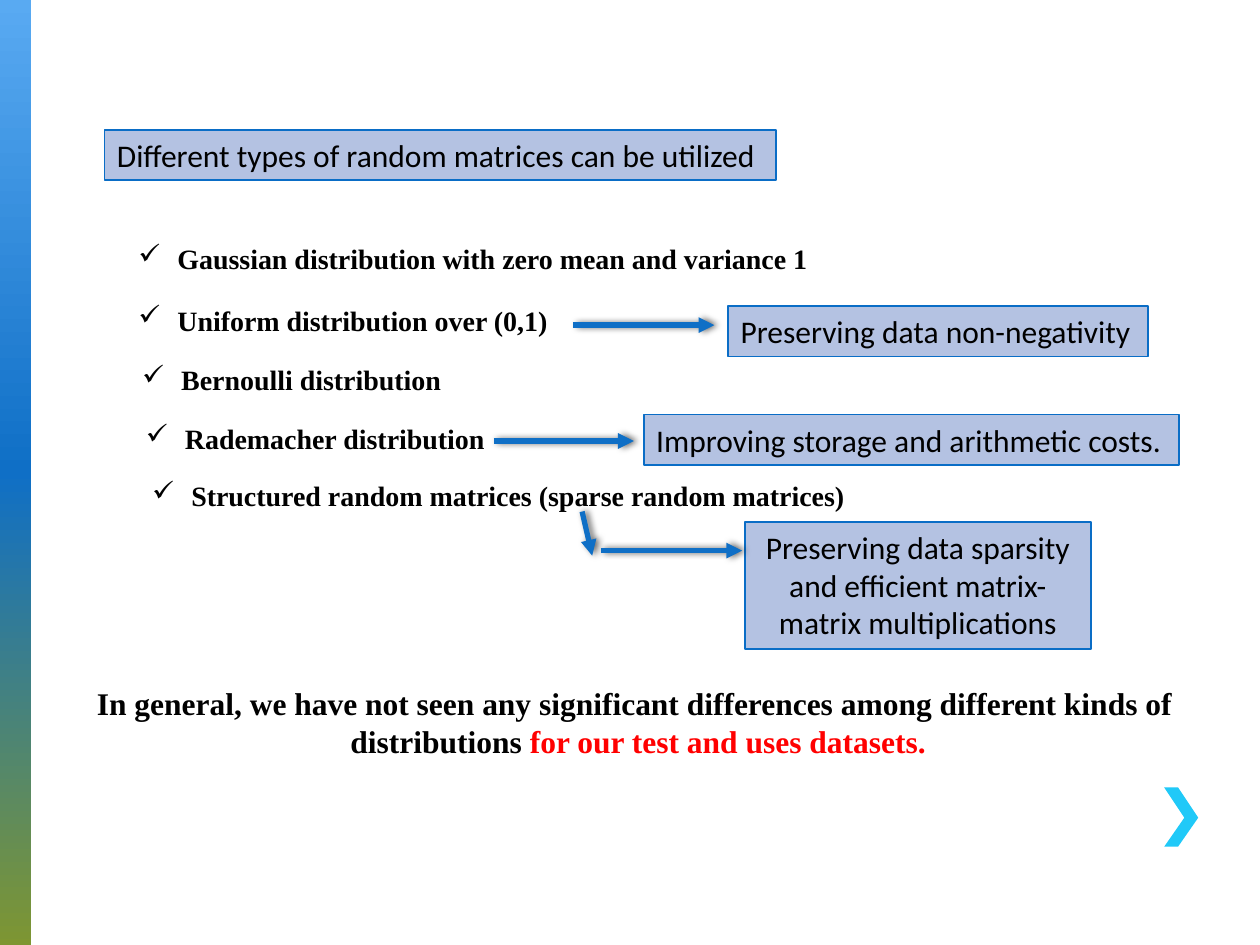
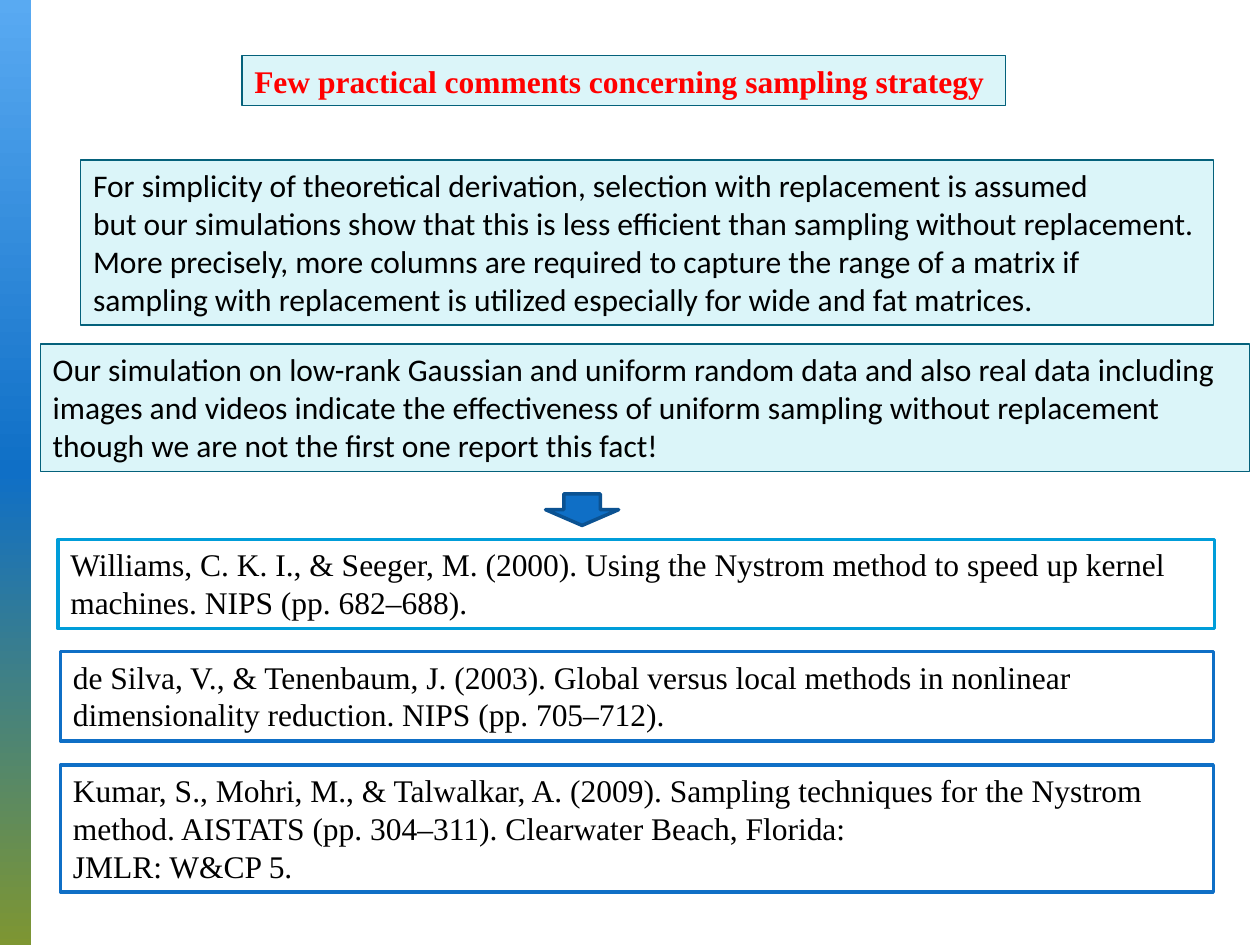
from copy import deepcopy

from lxml import etree
from pptx import Presentation
from pptx.dml.color import RGBColor
from pptx.enum.shapes import MSO_CONNECTOR, MSO_SHAPE
from pptx.enum.text import MSO_ANCHOR, PP_ALIGN
from pptx.oxml.ns import qn
from pptx.util import Inches, Pt

RECT, DOWN = MSO_SHAPE.RECTANGLE, MSO_SHAPE.DOWN_ARROW
STRAIGHT = MSO_CONNECTOR.STRAIGHT
TOP = MSO_ANCHOR.TOP
LEFT, CENTER = PP_ALIGN.LEFT, PP_ALIGN.CENTER

BLACK = RGBColor(0x00, 0x00, 0x00)
WHITE = RGBColor(0xFF, 0xFF, 0xFF)
RED = RGBColor(0xFF, 0x00, 0x00)
BLUE = RGBColor(0x0F, 0x6F, 0xC6)
NAVY = RGBColor(0x0B, 0x52, 0x92)
SKY = RGBColor(0x59, 0xAA, 0xF2)
OLIVE = RGBColor(0x7E, 0x96, 0x32)
CYAN = RGBColor(0x20, 0xC9, 0xF8)
AZURE = RGBColor(0x00, 0x9D, 0xD9)
LILAC = RGBColor(0xB4, 0xC2, 0xE2)
COBALT = RGBColor(0x0A, 0x6D, 0xC6)
ICE = RGBColor(0xDB, 0xF5, 0xF9)
TEAL = RGBColor(0x04, 0x61, 0x7B)

SANS, SERIF = "Calibri", "Times New Roman"
BAND = ((0, SKY), (0.5, BLUE), (1, OLIVE))
CALLOUT = (LILAC, COBALT, 1)
NOTE = (ICE, TEAL, 0.75)
FIRST = (WHITE, AZURE, 2)
PAPER = (WHITE, BLUE, 2)

KINDS = (
    (1, 1.87, 5.64, "Gaussian distribution with zero mean and variance 1"),
    (1, 2.36, 3.56, "Uniform distribution over (0,1)"),
    (1.03, 2.83, 2.61, "Bernoulli distribution"),
    (1.06, 3.3, 2.93, "Rademacher distribution"),
    (1.11, 3.75, 5.78, "Structured random matrices (sparse random matrices)"),
)
ARROWS = (
    (4.55, 2.58, 5.67, 2.58),
    (3.92, 3.5, 5.03, 3.5),
    (4.62, 4.06, 4.7, 4.41),
    (4.77, 4.37, 5.89, 4.37),
)
CALLOUTS = (
    ((0.83, 1.03, 5.33, 0.4), LEFT,
     "Different types of random matrices can be utilized"),
    ((5.78, 2.43, 3.33, 0.4), LEFT, "Preserving data non-negativity"),
    ((5.11, 3.29, 4.25, 0.4), LEFT, "Improving storage and arithmetic costs."),
    ((5.91, 4.14, 2.75, 1.01), CENTER,
     "Preserving data sparsity and efficient matrix-matrix multiplications"),
)
NOTES = (
    ((0.64, 1.27, 8.99, 1.31), (
        "For simplicity of theoretical derivation, selection with replacement is assumed",
        "but our simulations show that this is less efficient than sampling without replacement.",
        "More precisely, more columns are required to capture the range of a matrix if",
        "sampling with replacement is utilized especially for wide and fat matrices.")),
    ((0.32, 2.73, 9.6, 1.01), (
        "Our simulation on low-rank Gaussian and uniform random data and also real data including",
        "images and videos indicate the effectiveness of uniform sampling without replacement",
        "though we are not the first one report this fact!")),
)
PAPERS = (
    ((0.46, 4.28, 9.18, 0.71), FIRST, (
        "Williams, C. K. I., & Seeger, M. (2000). Using the Nystrom method to speed up kernel "
        "machines. NIPS (pp. 682–688).",)),
    ((0.48, 5.17, 9.15, 0.71), PAPER, (
        "de Silva, V., & Tenenbaum, J. (2003). Global versus local methods in nonlinear "
        "dimensionality reduction. NIPS (pp. 705–712).",)),
    ((0.48, 6.07, 9.15, 1.01), PAPER, (
        "Kumar, S., Mohri, M., & Talwalkar, A. (2009). Sampling techniques for the Nystrom "
        "method. AISTATS (pp. 304–311). Clearwater Beach, Florida:",
        "JMLR: W&CP 5.")),
)


def write(shape, lines, font=SANS, size=18, color=BLACK, bold=False, align=LEFT):
    """Fill a shape with one paragraph per line and return its text frame."""
    frame = shape.text_frame
    frame.word_wrap = True
    frame.vertical_anchor = TOP
    frame.text = "\n".join(lines)
    for para in frame.paragraphs:
        para.alignment = align
        para.font.name = font
        para.font.size = Pt(size)
        para.font.bold = bold
        para.font.color.rgb = color
    return frame


def add_text(slide, box, lines, **style):
    """Add a plain text box."""
    return write(slide.shapes.add_textbox(*map(Inches, box)), lines, **style)


def add_shape(slide, kind, box, look):
    """Add a preset shape with a fill, a line colour and a line width."""
    fill, line, width = look
    shape = slide.shapes.add_shape(kind, *map(Inches, box))
    shape.shadow.inherit = False
    shape.fill.solid()
    shape.fill.fore_color.rgb = fill
    shape.line.color.rgb = line
    shape.line.width = Pt(width)
    return shape


def add_panel(slide, box, look, lines, **style):
    """Add a framed rectangle with text."""
    write(add_shape(slide, RECT, box, look), lines, **style)


def add_check(slide, left, top, width, text):
    """Add one line of bold text behind a check mark."""
    frame = add_text(slide, (left, top, width, 0.37), [text],
                     font=SERIF, size=16, bold=True)
    props = frame.paragraphs[0]._p.get_or_add_pPr()
    props.set("marL", str(Inches(0.31)))
    props.set("indent", str(-Inches(0.31)))
    mark = etree.Element(qn("a:buChar"), char="✓")
    props.insert(0, mark)


def add_arrow(slide, ends):
    """Add a straight arrow with a soft shadow."""
    arrow = slide.shapes.add_connector(STRAIGHT, *map(Inches, ends))
    arrow.line.color.rgb = BLUE
    arrow.line.width = Pt(3)
    etree.SubElement(arrow.line._get_or_add_ln(), qn("a:tailEnd"), type="triangle")
    effects = etree.SubElement(arrow._element.spPr, qn("a:effectLst"))
    shade = etree.SubElement(effects, qn("a:outerShdw"), blurRad=str(Pt(4)),
                             dist=str(Pt(2)), dir="0", rotWithShape="0")
    tint = etree.SubElement(shade, qn("a:srgbClr"), val=str(BLACK))
    etree.SubElement(tint, qn("a:alpha"), val="60000")


def add_band(slide):
    """Add the gradient band along the left edge."""
    band = slide.shapes.add_shape(RECT, 0, 0, Inches(0.25), Inches(7.5))
    band.shadow.inherit = False
    band.line.fill.background()
    band.fill.gradient()
    band.fill.gradient_angle = 270
    stops = band._element.spPr.find(qn("a:gradFill")).find(qn("a:gsLst"))
    stops.append(deepcopy(stops[-1]))
    for stop, (place, color) in zip(band.fill.gradient_stops, BAND):
        stop.position = place
        stop.color.rgb = color


def add_chevron(slide):
    """Add the chevron in the lower right corner."""
    points = [(9.35, 6.25), (9.24, 6.25), (9.4, 6.49),
              (9.24, 6.72), (9.35, 6.72), (9.51, 6.49)]
    first, *rest = [tuple(map(Inches, point)) for point in points]
    maker = slide.shapes.build_freeform(*first)
    maker.add_line_segments(rest, close=True)
    shape = maker.convert_to_shape()
    shape.shadow.inherit = False
    shape.fill.solid()
    shape.fill.fore_color.rgb = CYAN
    shape.line.fill.background()


def new_slide(deck):
    """Add a blank slide with the band."""
    slide = deck.slides.add_slide(deck.slide_layouts[6])
    add_band(slide)
    return slide


def build_kinds(deck):
    """Build the slide on types of random matrices."""
    slide = new_slide(deck)
    add_chevron(slide)
    for kind in KINDS:
        add_check(slide, *kind)
    for box, align, text in CALLOUTS:
        add_panel(slide, box, CALLOUT, [text], align=align)
    for ends in ARROWS:
        add_arrow(slide, ends)
    frame = add_text(slide, (0.67, 5.38, 8.79, 0.71), [
        "In general, we have not seen any significant differences among different kinds of",
        "distributions"], font=SERIF, bold=True)
    last = frame.paragraphs[1]
    last.alignment = CENTER
    run = last.add_run()
    run.text = " for our test and uses datasets."
    run.font.color.rgb = RED


def build_notes(deck):
    """Build the slide on sampling strategy."""
    slide = new_slide(deck)
    add_panel(slide, (1.92, 0.44, 6.06, 0.4), NOTE,
              ["Few practical comments concerning sampling strategy"],
              font=SERIF, color=RED, bold=True)
    for box, lines in NOTES:
        add_panel(slide, box, NOTE, lines)
    for box, look, lines in PAPERS:
        add_panel(slide, box, look, lines, font=SERIF)
    add_shape(slide, DOWN, (4.33, 3.92, 0.58, 0.25), (BLUE, NAVY, 2))


def main():
    """Build and save the deck."""
    deck = Presentation()
    deck.slide_width, deck.slide_height = Inches(10), Inches(7.5)
    build_kinds(deck)
    build_notes(deck)
    deck.save("out.pptx")


if __name__ == "__main__":
    main()
